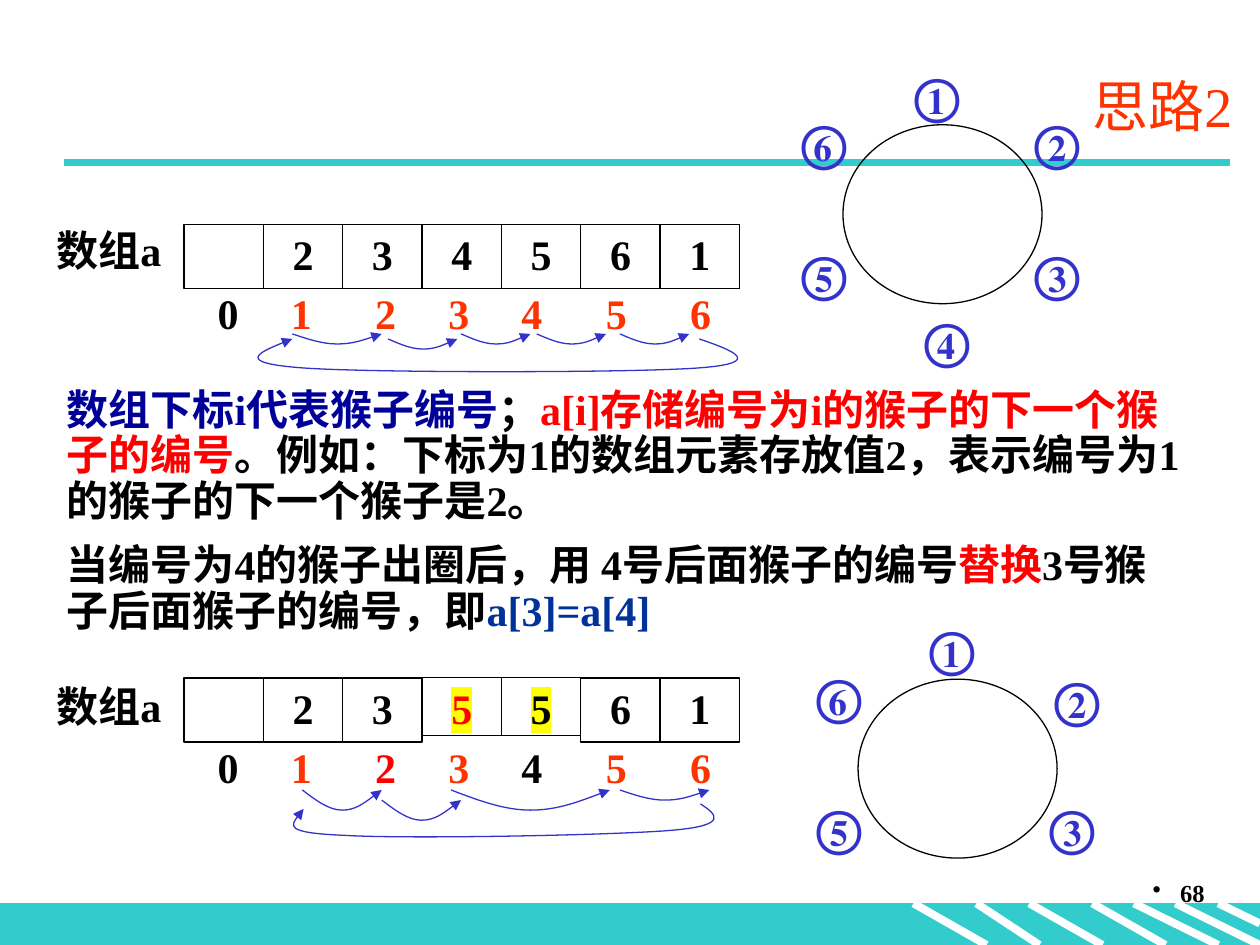
"""Build the slide on linking monkeys in a ring through an array of successors."""
from dataclasses import dataclass
from typing import NamedTuple

import lxml.etree
import pptx
import pptx.dml.color
import pptx.enum.shapes
import pptx.enum.text
import pptx.oxml.ns
import pptx.util

Inches = pptx.util.Inches
Pt = pptx.util.Pt
RGBColor = pptx.dml.color.RGBColor
Shape = pptx.enum.shapes.MSO_SHAPE
Align = pptx.enum.text.PP_ALIGN
Anchor = pptx.enum.text.MSO_ANCHOR
qn = pptx.oxml.ns.qn

BLACK = RGBColor(0x00, 0x00, 0x00)
WHITE = RGBColor(0xFF, 0xFF, 0xFF)
TEAL = RGBColor(0x33, 0xCC, 0xCC)
ORANGE = RGBColor(0xFF, 0x33, 0x00)
RED = RGBColor(0xFF, 0x00, 0x00)
NAVY = RGBColor(0x00, 0x00, 0x99)
BLUE = RGBColor(0x00, 0x33, 0x99)
VIOLET = RGBColor(0x33, 0x33, 0xCC)

CELL_LEFT, CELL_WIDTH = 1.46, 0.63
INDEX_TABS = (0.17, 0.75, 1.42, 2.0, 2.58, 3.25, 3.92)
FOOTER_TOP, FOOTER_BOTTOM = 7.17, 7.5


class Run(NamedTuple):
    text: str
    color: RGBColor = BLACK
    marked: bool = False


class Box(NamedTuple):
    left: float
    top: float
    width: float
    height: float


class Hop(NamedTuple):
    start: float
    end: float
    top: float
    depth: float = 0.08


@dataclass
class ArrayRow:
    top: float
    label_top: float
    values: list[Run]
    index_colors: list[RGBColor]
    hops: list[Hop]
    return_curve: list[tuple[float, float]]


@dataclass
class Ring:
    circle: Box
    monkeys: dict[str, tuple[float, float]]


def write(frame, paragraphs: list[list[Run]], size=24, bold=True, align=Align.LEFT,
          spacing=0.9, **frame_format) -> None:
    """Fill a text frame with paragraphs of coloured runs."""
    for name, value in {"word_wrap": True, **frame_format}.items():
        setattr(frame, name, value)
    for number, runs in enumerate(paragraphs):
        paragraph = frame.add_paragraph() if number else frame.paragraphs[0]
        layout = {"alignment": align, "line_spacing": spacing, "space_before": Pt(11 if number else 0)}
        for name, value in layout.items():
            setattr(paragraph, name, value)
        for part in runs:
            run = paragraph.add_run()
            run.text = part.text
            for name, value in {"name": "Times New Roman", "size": Pt(size), "bold": bold}.items():
                setattr(run.font, name, value)
            run.font.color.rgb = part.color
            if part.marked:
                highlight = lxml.etree.Element(qn("a:highlight"))
                lxml.etree.SubElement(highlight, qn("a:srgbClr"), val="FFFF00")
                run._r.find(qn("a:rPr")).find(qn("a:solidFill")).addnext(highlight)


def add_text(slide, box: Box, paragraphs: list[list[Run]], **text_format):
    """Add a text box and return its frame."""
    frame = slide.shapes.add_textbox(*map(Inches, box)).text_frame
    write(frame, paragraphs, **text_format)
    return frame


def add_outline(slide, kind, box: Box):
    """Add an unfilled shape with a thin black border."""
    outline = slide.shapes.add_shape(kind, *map(Inches, box))
    outline.shadow.inherit = False
    outline.fill.background()
    outline.line.color.rgb = BLACK
    outline.line.width = Pt(0.75)
    return outline


def add_stripe(slide, start: tuple[float, float], end: tuple[float, float], color: RGBColor) -> None:
    """Add a thick straight line."""
    stripe = slide.shapes.add_connector(
        pptx.enum.shapes.MSO_CONNECTOR.STRAIGHT, *map(Inches, start + end))
    stripe.line.color.rgb = color
    stripe.line.width = Pt(4.5)
    lxml.etree.SubElement(stripe.element.spPr, qn("a:effectLst"))


def add_curve(slide, points: list[tuple[float, float]]) -> None:
    """Add an arrow made of cubic Bezier segments."""
    start, *controls = [(Inches(x), Inches(y)) for x, y in points]
    builder = slide.shapes.build_freeform(*start)
    builder.add_line_segments(controls, close=False)
    arrow = builder.convert_to_shape()
    arrow.shadow.inherit = False
    arrow.fill.background()
    arrow.line.color.rgb = VIOLET
    arrow.line.width = Pt(0.75)
    lxml.etree.SubElement(arrow.element.spPr.find(qn("a:ln")), qn("a:tailEnd"), type="triangle")
    steps = list(arrow.element.iter(qn("a:lnTo")))
    for first in range(0, len(steps), 3):
        bezier = lxml.etree.Element(qn("a:cubicBezTo"))
        steps[first].addprevious(bezier)
        for step in steps[first:first + 3]:
            bezier.append(step[0])
            step.getparent().remove(step)


def add_hop(slide, hop: Hop) -> None:
    """Add a sagging arrow from one index to the next."""
    sag = (0, 0.5, 1, 1, 1, 0.5, 0)
    add_curve(slide, [(hop.start + (hop.end - hop.start) * i / 6, hop.top + hop.depth * s)
                      for i, s in enumerate(sag)])


def add_array(slide, row: ArrayRow) -> None:
    """Add an array with its label, cells, indices and arrows."""
    for column, value in enumerate(row.values):
        box = Box(CELL_LEFT + column * CELL_WIDTH, row.top, CELL_WIDTH, 0.46 if value.marked else 0.51)
        cell = add_outline(slide, Shape.RECTANGLE, box)
        if value.text:
            write(cell.text_frame, [[value]], align=Align.CENTER,
                  vertical_anchor=Anchor.TOP, margin_top=Inches(0.08))
    indices = [Run(f"\t{i}", color) for i, color in enumerate(row.index_colors)]
    frame = add_text(slide, Box(CELL_LEFT, row.top + 0.47, 4.57, 0.5), [indices], margin_top=Inches(0.08))
    tabs = lxml.etree.SubElement(frame.paragraphs[0]._p.get_or_add_pPr(), qn("a:tabLst"))
    for position in INDEX_TABS:
        lxml.etree.SubElement(tabs, qn("a:tab"), pos=str(Inches(position)), algn="l")
    add_text(slide, Box(0.35, row.label_top, 1.1, 0.5), [[Run("数组a")]])
    for hop in row.hops:
        add_hop(slide, hop)
    add_curve(slide, row.return_curve)


def add_ring(slide, ring: Ring) -> None:
    """Add a circle with the numbered monkeys around it."""
    add_outline(slide, Shape.OVAL, ring.circle)
    for number, corner in ring.monkeys.items():
        add_text(slide, Box(*corner, 0.59, 0.57), [[Run(number, VIOLET)]], size=28, word_wrap=False)


def add_decoration(slide) -> None:
    """Add the title rule, the striped footer and the page number."""
    footer = slide.shapes.add_shape(Shape.RECTANGLE, *map(Inches, (0, FOOTER_TOP, 10, 0.33)))
    footer.shadow.inherit = False
    footer.fill.solid()
    footer.fill.fore_color.rgb = footer.line.color.rgb = TEAL
    footer.line.width = Pt(0.75)
    for start, end in ((7.25, 7.83), (7.75, 8.25), (8.17, 8.75), (8.67, 9.25), (9, 9.67), (9.33, 10)):
        add_stripe(slide, (start, FOOTER_TOP), (end, FOOTER_BOTTOM), WHITE)
    add_stripe(slide, (9.67, FOOTER_TOP), (10, 7.33), WHITE)
    add_stripe(slide, (0.51, 1.29), (9.76, 1.29), TEAL)
    page = add_text(slide, Box(7.58, 6.92, 2.08, 0.5), [[Run("68")]], size=14, align=Align.RIGHT, spacing=1.0)
    properties = page.paragraphs[0]._p.get_or_add_pPr()
    for name, value in {"marL": 0.22, "indent": -0.22}.items():
        properties.set(name, str(Inches(value)))
    lxml.etree.SubElement(properties, qn("a:buChar"), char="•")


EXPLANATION = [
    [Run("数组下标i代表猴子编号", NAVY), Run("；"), Run("a[i]存储编号为i的猴子的下一个猴子的编号", RED),
     Run("。例如：下标为1的数组元素存放值2，表示编号为1的猴子的下一个猴子是2。")],
    [Run("当编号为4的猴子出圈后，用 4号后面猴子的编号"), Run("替换", RED),
     Run("3号猴子后面猴子的编号，即"), Run("a[3]=a[4]", BLUE)],
]
ARRAYS = [
    ArrayRow(1.78, 1.78, [Run(v) for v in ("", *"234561")], [BLACK] + [ORANGE] * 6,
             [Hop(2.32, 3.03, 2.65), Hop(3.08, 3.63, 2.69), Hop(3.66, 4.21, 2.65),
              Hop(4.26, 4.81, 2.65), Hop(4.92, 5.47, 2.65)],
             [(5.55, 2.69), (5.81, 2.78), (6.08, 2.88), (5.55, 2.92), (5.03, 2.96),
              (2.94, 2.96), (2.4, 2.92), (1.86, 2.88), (2.09, 2.78), (2.32, 2.69)]),
    ArrayRow(5.38, 5.4, [Run(""), Run("2"), Run("3"), Run("5", RED, True), Run("5", BLACK, True), Run("6"), Run("1")],
             [BLACK, ORANGE, RED, ORANGE, BLACK, ORANGE, ORANGE],
             [Hop(2.4, 3.03, 6.27, 0.16), Hop(3.03, 3.66, 6.35, 0.16),
              Hop(3.58, 4.84, 6.27, 0.16), Hop(4.92, 5.63, 6.27)],
             [(5.56, 6.38), (5.68, 6.46), (5.8, 6.55), (5.33, 6.59), (4.86, 6.63),
              (3.22, 6.66), (2.73, 6.63), (2.24, 6.61), (2.33, 6.51), (2.41, 6.42)]),
]
RINGS = [
    Ring(Box(6.69, 0.99, 1.58, 1.42), {"①": (7.16, 0.52), "②": (8.11, 0.9), "③": (8.11, 1.94),
                                       "④": (7.24, 2.47), "⑤": (6.26, 1.94), "⑥": (6.26, 0.9)}),
    Ring(Box(6.81, 5.39, 1.58, 1.42), {"①": (7.28, 4.91), "②": (8.27, 5.32), "③": (8.23, 6.33),
                                       "⑤": (6.38, 6.33), "⑥": (6.38, 5.29)}),
]


def main() -> None:
    """Draw the slide and save it."""
    deck = pptx.Presentation()
    deck.slide_width, deck.slide_height = Inches(10), Inches(7.5)
    slide = deck.slides.add_slide(deck.slide_layouts[6])
    add_decoration(slide)
    add_text(slide, Box(1.38, 0.44, 8.5, 0.79), [[Run("思路2", ORANGE)]], size=32, bold=False,
             align=Align.RIGHT, spacing=1.0, vertical_anchor=Anchor.MIDDLE)
    add_text(slide, Box(0.43, 3.04, 9.06, 2.12), EXPLANATION)
    for row in ARRAYS:
        add_array(slide, row)
    for ring in RINGS:
        add_ring(slide, ring)
    deck.save("out.pptx")


if __name__ == "__main__":
    main()
